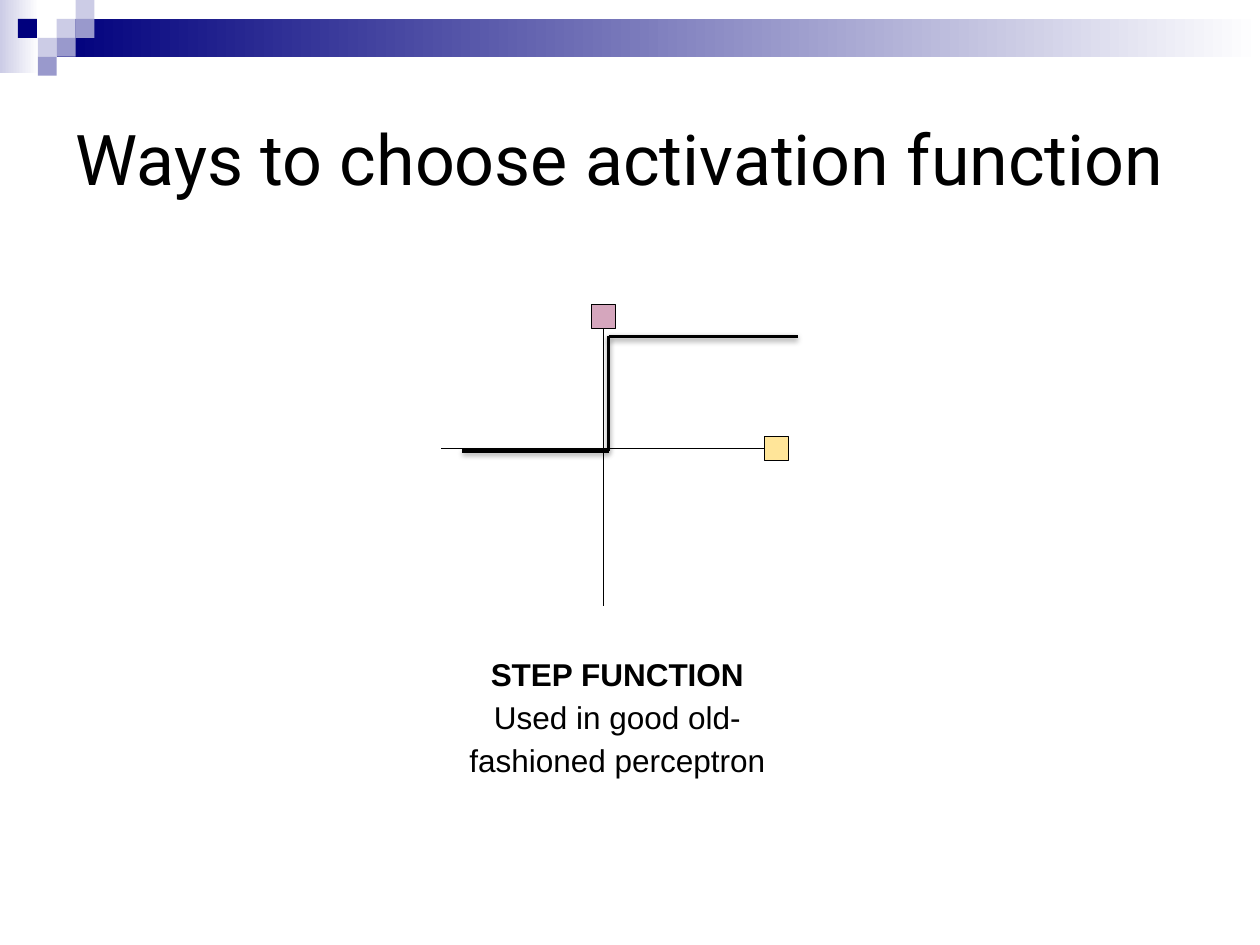
from lxml import etree
from pptx import Presentation
from pptx.dml.color import RGBColor
from pptx.enum.shapes import MSO_CONNECTOR, MSO_SHAPE
from pptx.enum.text import MSO_ANCHOR, PP_ALIGN
from pptx.oxml.ns import qn
from pptx.util import Inches, Pt

RECTANGLE = MSO_SHAPE.RECTANGLE
STRAIGHT = MSO_CONNECTOR.STRAIGHT
LEFT, CENTER = PP_ALIGN.LEFT, PP_ALIGN.CENTER
TOP, MIDDLE = MSO_ANCHOR.TOP, MSO_ANCHOR.MIDDLE

COLORS = {
    name: RGBColor.from_string(value)
    for name, value in {
        "black": "000000", "white": "FFFFFF", "navy": "00007D",
        "lilac": "CCCCE6", "periwinkle": "9999CC",
        "yellow": "FFE599", "pink": "D5A6BD",
    }.items()
}
TILE = 0.15  # side of one square in the header pattern

deck = Presentation()
deck.slide_width, deck.slide_height = Inches(10), Inches(7.5)
page = deck.slides.add_slide(deck.slide_layouts[5])


def add_rectangle(left, top, width, height, color, fade=False, outlined=False):
    """Add a rectangle, either plain or fading to white towards the right."""
    box = page.shapes.add_shape(
        RECTANGLE, Inches(left), Inches(top), Inches(width), Inches(height))
    box.shadow.inherit = False
    if fade:
        box.fill.gradient()
        box.fill.gradient_angle = 0
        for stop, name in zip(box.fill.gradient_stops, (color, "white")):
            stop.color.rgb = COLORS[name]
    else:
        box.fill.solid()
        box.fill.fore_color.rgb = COLORS[color]
    if outlined:
        box.line.color.rgb = COLORS["black"]
        box.line.width = Pt(0.75)
    else:
        box.line.fill.background()


def add_line(start, end, width, shadowed=False):
    line = page.shapes.add_connector(
        STRAIGHT, *(Inches(value) for value in (*start, *end)))
    line.line.color.rgb = COLORS["black"]
    line.line.width = Pt(width)
    effects = etree.SubElement(line._element.spPr, qn("a:effectLst"))
    if shadowed:
        shadow = etree.SubElement(
            effects, qn("a:outerShdw"), blurRad=str(Pt(3.1)),
            dist=str(Pt(1.6)), dir="5400000", rotWithShape="0")
        color = etree.SubElement(shadow, qn("a:srgbClr"), val="000000")
        etree.SubElement(color, qn("a:alpha"), val="38000")


# Header band and tiles
add_rectangle(0, 0, 0.31, 0.58, "lilac", fade=True)
add_rectangle(3 * TILE, TILE, 10 - 3 * TILE, 2 * TILE, "navy", fade=True)
for column, row, color in (
    (3, 1, "lilac"), (4, 0, "lilac"), (4, 1, "periwinkle"), (2, 2, "lilac"),
    (0.95, 1, "navy"), (3, 2, "periwinkle"), (2, 3, "periwinkle"),
):
    add_rectangle(column * TILE, row * TILE, TILE, TILE, color)

# Title
title = page.shapes.title
title.left, title.top = Inches(0.5), Inches(0.5)
title.width, title.height = Inches(9), Inches(1.5)
title.text_frame.vertical_anchor = MIDDLE
para = title.text_frame.paragraphs[0]
para.alignment = LEFT
span = para.add_run()
span.text = "Ways to choose activation function"
span.font.name, span.font.size = "Roboto", Pt(40)
span.font.color.rgb = COLORS["black"]

# Axes, each ending in a square
origin_x, origin_y, marker = 4.79, 3.56, 0.19
axis_top, axis_right = 2.51, 6.07
add_line((origin_x, axis_top), (origin_x, 4.81), 0.75)
add_line((3.5, origin_y), (axis_right, origin_y), 0.75)
add_rectangle(axis_right, origin_y - marker / 2, marker, marker,
              "yellow", outlined=True)
add_rectangle(origin_x - marker / 2, axis_top - marker / 2, marker, marker,
              "pink", outlined=True)

# Caption
caption = page.shapes.add_textbox(
    Inches(3.5), Inches(5.05), Inches(2.8), Inches(1.4))
frame = caption.text_frame
frame.word_wrap = True
frame.vertical_anchor = TOP
frame.margin_left = frame.margin_right = Inches(0.1)
frame.margin_top = frame.margin_bottom = Inches(0.1)
for index, (text, bold) in enumerate((
    ("STEP FUNCTION", True),
    ("Used in good old-fashioned perceptron", False),
)):
    para = frame.add_paragraph() if index else frame.paragraphs[0]
    para.alignment = CENTER
    para.line_spacing = 1.15
    span = para.add_run()
    span.text = text
    span.font.name, span.font.size, span.font.bold = "Arial", Pt(18), bold
    span.font.color.rgb = COLORS["black"]

# Step curve
step_points = [(3.67, 3.58), (4.83, 3.58), (4.83, 2.67), (6.33, 2.67)]
for start, end in zip(step_points, step_points[1:]):
    add_line(start, end, 2, shadowed=True)

deck.save("out.pptx")
